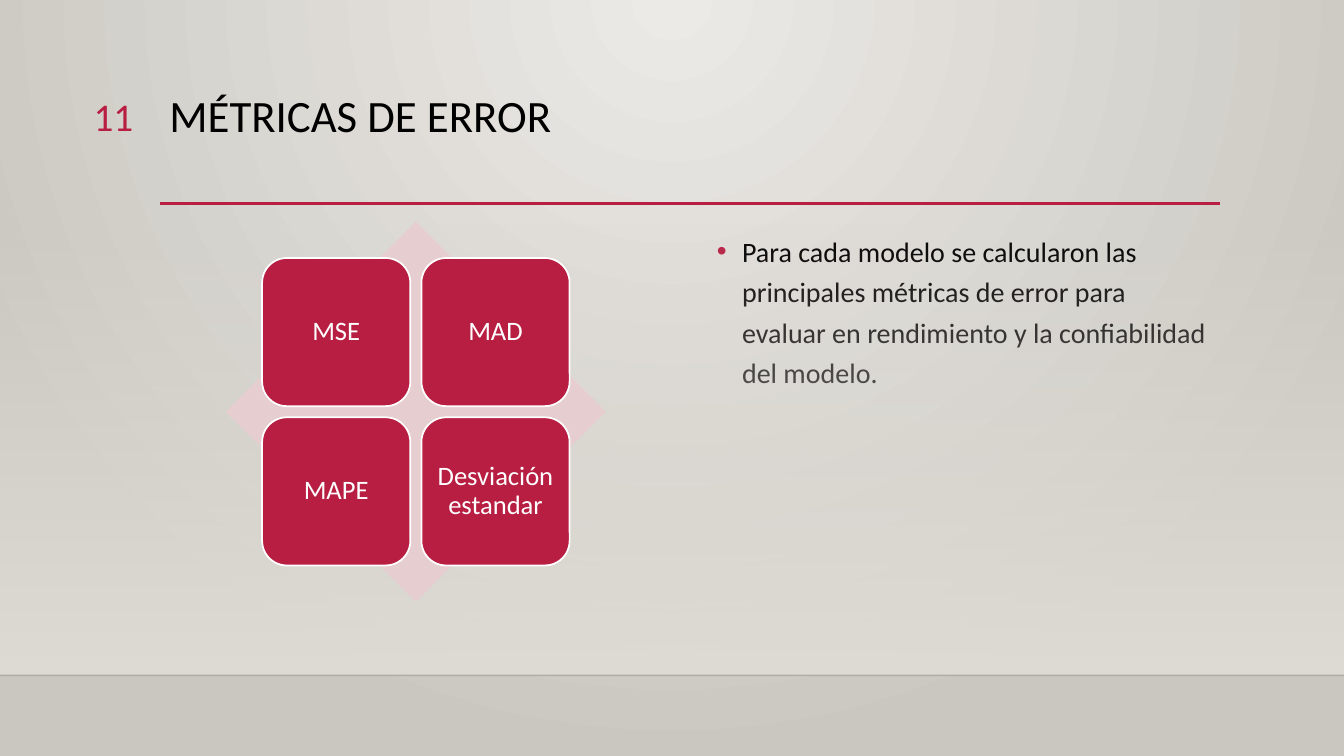
from pptx import Presentation
from pptx.dml.color import RGBColor
from pptx.enum.shapes import MSO_CONNECTOR, MSO_SHAPE
from pptx.enum.text import MSO_ANCHOR, MSO_AUTO_SIZE, PP_ALIGN
from pptx.oxml.ns import qn
from pptx.oxml.xmlchemy import OxmlElement
from pptx.util import Inches, Pt

STRAIGHT = MSO_CONNECTOR.STRAIGHT
RECTANGLE, DIAMOND, ROUNDED = MSO_SHAPE.RECTANGLE, MSO_SHAPE.DIAMOND, MSO_SHAPE.ROUNDED_RECTANGLE
TOP, MIDDLE = MSO_ANCHOR.TOP, MSO_ANCHOR.MIDDLE
NO_FIT = MSO_AUTO_SIZE.NONE
LEFT, CENTER, RIGHT = PP_ALIGN.LEFT, PP_ALIGN.CENTER, PP_ALIGN.RIGHT

CRIMSON = RGBColor(0xB7, 0x1E, 0x42)
PINK = RGBColor(0xE6, 0xCD, 0xCF)
SAND = RGBColor(0xDF, 0xDB, 0xD5)
PALE = RGBColor(0xEC, 0xEA, 0xE7)
STONE = RGBColor(0xCA, 0xC7, 0xC1)
BLACK = RGBColor(0, 0, 0)
WHITE = RGBColor(0xFF, 0xFF, 0xFF)
FONT = "Calibri"
WIDTH, HEIGHT = 13.33, 7.5
METRICS = ["MSE", "MAD", "MAPE", "Desviación estandar"]


def add_child(parent, tag, **attributes):
    """Append an XML child with the given attributes."""
    child = OxmlElement(tag)
    for name, value in attributes.items():
        child.set(name, str(value))
    parent.append(child)
    return child


def set_gradient(fill, colors):
    """Give a fill a two-stop gradient."""
    fill.gradient()
    for stop, color, position in zip(fill.gradient_stops, colors, (0, 1)):
        stop.color.rgb = color
        stop.position = position


def place(shape, box):
    """Move a shape to a box of left, top, width and height in inches."""
    shape.left, shape.top, shape.width, shape.height = map(Inches, box)


def write(frame, text, size, color, align=LEFT, spacing=1.0, anchor=TOP):
    """Write one formatted paragraph into a text frame and return it."""
    frame.word_wrap = True
    frame.auto_size = NO_FIT
    frame.vertical_anchor = anchor
    para = frame.paragraphs[0]
    para.alignment = align
    para.line_spacing = spacing
    para.space_before = Pt(0)
    span = para.add_run()
    span.text = text
    span.font.name = FONT
    span.font.size = Pt(size)
    span.font.color.rgb = color
    return para


def add_block(page, kind, box):
    """Add a preset shape without shadow or outline."""
    shape = page.shapes.add_shape(kind, *map(Inches, box))
    shape.shadow.inherit = False
    shape.line.fill.background()
    return shape


def add_rule(page, left, top, width, color, weight):
    """Add a horizontal line without shadow."""
    ends = map(Inches, (left, top, left + width, top))
    rule = page.shapes.add_connector(STRAIGHT, *ends)
    rule.line.color.rgb = color
    rule.line.width = Pt(weight)
    add_child(rule.element.spPr, "a:effectLst")
    return rule


def draw_backdrop(page, box):
    """Draw the radial background, the fading wall and the floor edge."""
    set_gradient(page.background.fill, (PALE, STONE))
    linear = page.element.xpath(".//p:bg//a:lin")[0]
    gradient = linear.getparent()
    gradient.remove(linear)
    circle = add_child(gradient, "a:path", path="circle")
    add_child(circle, "a:fillToRect", l=43000, t=0, r=43000, b=100000)

    left, top, width, height = box
    wall = add_block(page, RECTANGLE, box)
    set_gradient(wall.fill, (SAND, SAND))
    wall.fill.gradient_angle = 270
    first_color = next(wall.element.spPr.iter(qn("a:srgbClr")))
    add_child(first_color, "a:alpha", val=0)
    edge = add_rule(page, left, top + height, width, BLACK, 1)
    edge_color = next(edge.element.spPr.iter(qn("a:srgbClr")))
    add_child(edge_color, "a:alpha", val=20000)


def draw_header(page, box):
    """Place the title, its page number and the line below."""
    left, top, width, height = box
    title = page.shapes.title
    place(title, box)
    write(title.text_frame, "MÉTRICAS DE ERROR", 32, BLACK, spacing=0.9)
    number = page.shapes.add_textbox(*map(Inches, (left - 1.05, top - 0.01, 0.89, 0.55)))
    write(number.text_frame, "11", 28, CRIMSON, RIGHT)
    add_rule(page, left + 0.01, top + 1.14, width + 0.01, CRIMSON, 2.5)


def draw_matrix(page, box):
    """Draw the diamond with a two-by-two grid of metrics."""
    left, top, width, height = box
    tile, pitch = 1.47, 1.58
    inset = (width - tile - pitch) / 2
    add_block(page, DIAMOND, box).fill.solid()
    diamond = page.shapes[-1]
    diamond.fill.fore_color.rgb = PINK
    for index, metric in enumerate(METRICS):
        row, column = divmod(index, 2)
        corner = (left + inset + column * pitch, top + inset + row * pitch)
        card = add_block(page, ROUNDED, (*corner, tile, tile))
        card.fill.solid()
        card.fill.fore_color.rgb = CRIMSON
        card.line.color.rgb = WHITE
        card.line.width = Pt(1.25)
        frame = card.text_frame
        frame.margin_left = frame.margin_right = Inches(0.08)
        frame.margin_top = frame.margin_bottom = Inches(0.08)
        write(frame, metric, 19, WHITE, CENTER, 0.9, MIDDLE)


def draw_body(page, box):
    """Place the bulleted explanation."""
    body = page.placeholders[1]
    place(body, box)
    text = ("Para cada modelo se calcularon las principales métricas de error "
            "para evaluar en rendimiento y la confiabilidad del modelo.")
    para = write(body.text_frame, text, 20, BLACK, spacing=1.2)
    properties = para._p.get_or_add_pPr()
    properties.set("marL", str(Inches(0.25)))
    properties.set("indent", str(Inches(-0.25)))
    bullet_color = add_child(properties, "a:buClr")
    add_child(bullet_color, "a:srgbClr", val=CRIMSON)
    add_child(properties, "a:buFont", typeface="Arial")
    add_child(properties, "a:buChar", char="•")


def main():
    """Build and save the deck."""
    deck = Presentation()
    deck.slide_width, deck.slide_height = Inches(WIDTH), Inches(HEIGHT)
    page = deck.slides.add_slide(deck.slide_layouts[1])
    draw_backdrop(page, (0, 2.21, WIDTH, 4.49))
    draw_header(page, (1.58, 0.88, 10.5, 1.16))
    draw_matrix(page, (2.24, 2.2, 3.77, 3.77))
    draw_body(page, (7.01, 2.21, 5.08, 3.76))
    deck.save("out.pptx")


if __name__ == "__main__":
    main()
